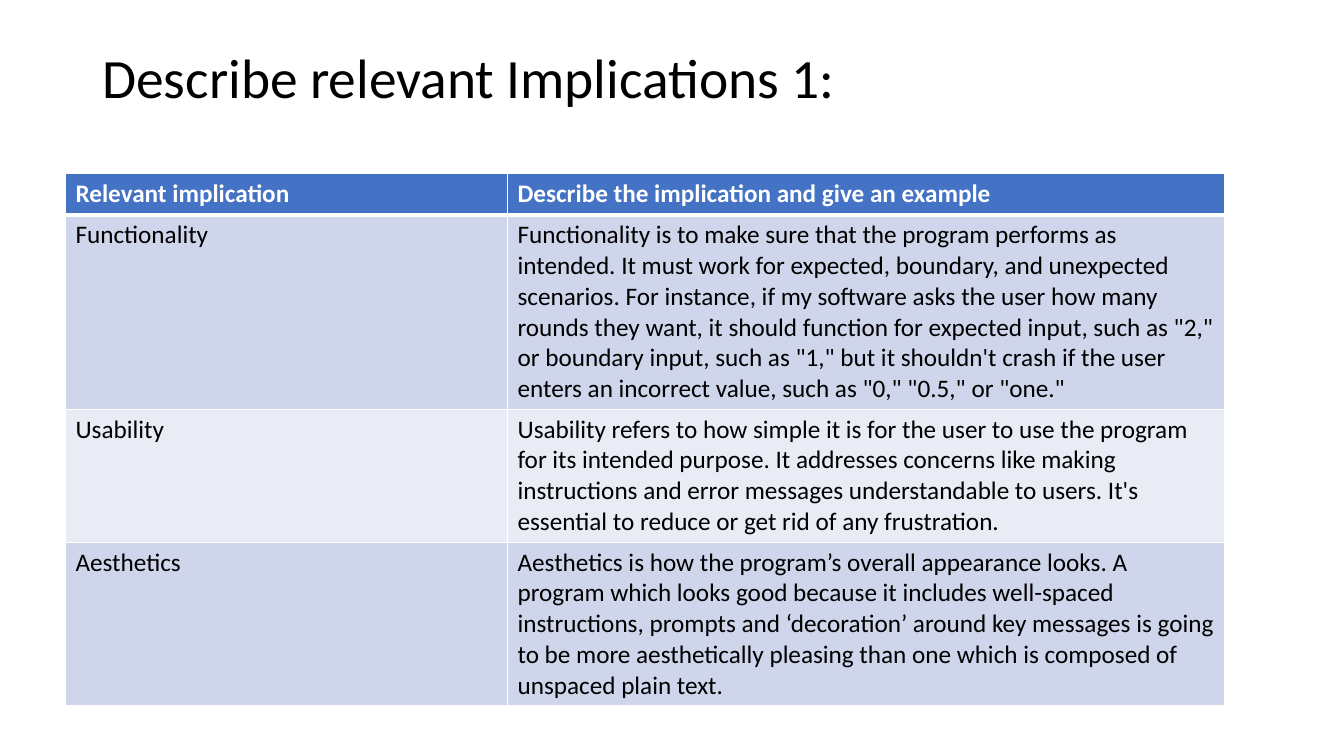
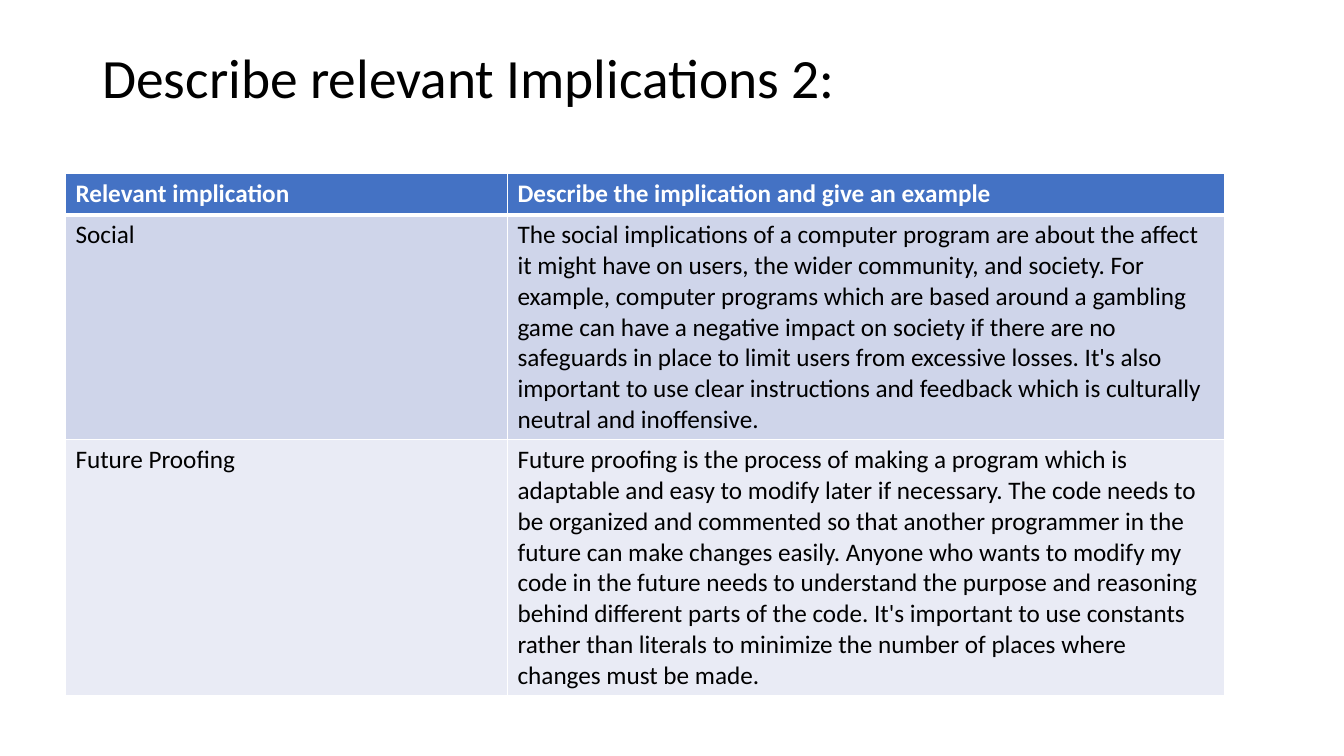
"""Build two slides that describe the relevant implications of a program in tables."""
from lxml import etree
from pptx import Presentation
from pptx.dml.color import RGBColor
from pptx.enum.text import MSO_ANCHOR
from pptx.oxml.ns import qn
from pptx.util import Cm, Pt

MIDDLE = MSO_ANCHOR.MIDDLE
BLACK = RGBColor(0x00, 0x00, 0x00)
WHITE = RGBColor(0xFF, 0xFF, 0xFF)
HEADER_BLUE = RGBColor(0x44, 0x72, 0xC4)
BAND_FILLS = [RGBColor(0xE9, 0xEB, 0xF5), RGBColor(0xCF, 0xD5, 0xEA)]

TITLE_FORMAT = {"name": "Calibri", "size": Pt(39.6), "bold": False}
HEADER_FORMAT = {"name": "Calibri", "size": Pt(18), "bold": True}
BODY_FORMAT = {"name": "Calibri", "size": Pt(18), "bold": False}

COLUMN_WIDTHS = [Cm(11.14), Cm(18.07)]
HEADER_ROW = (
    "Relevant implication",
    "Describe the implication and give an example",
    Cm(1.03),
)
IMPLICATIONS = {
    "Describe relevant Implications 1:": [
        (
            "Functionality",
            "Functionality is to make sure that the program performs as intended. "
            "It must work for expected, boundary, and unexpected scenarios. "
            "For instance, if my software asks the user how many rounds they want, "
            'it should function for expected input, such as "2," or boundary input, '
            'such as "1," but it shouldn\'t crash if the user enters an incorrect '
            'value, such as "0," "0.5," or "one."',
            Cm(4.9),
        ),
        (
            "Usability",
            "Usability refers to how simple it is for the user to use the program "
            "for its intended purpose. It addresses concerns like making instructions "
            "and error messages understandable to users. It's essential to reduce or "
            "get rid of any frustration.",
            Cm(3.35),
        ),
        (
            "Aesthetics",
            "Aesthetics is how the program’s overall appearance looks. A program "
            "which looks good because it includes well-spaced instructions, prompts "
            "and ‘decoration’ around key messages is going to be more aesthetically "
            "pleasing than one which is composed of unspaced plain text.",
            Cm(4.12),
        ),
    ],
    "Describe relevant Implications 2:": [
        (
            "Social",
            "The social implications of a computer program are about the affect it "
            "might have on users, the wider community, and society. For example, "
            "computer programs which are based around a gambling game can have a "
            "negative impact on society if there are no safeguards in place to limit "
            "users from excessive losses. It's also important to use clear "
            "instructions and feedback which is culturally neutral and inoffensive.",
            Cm(5.67),
        ),
        (
            "Future Proofing",
            "Future proofing is the process of making a program which is adaptable "
            "and easy to modify later if necessary. The code needs to be organized "
            "and commented so that another programmer in the future can make changes "
            "easily. Anyone who wants to modify my code in the future needs to "
            "understand the purpose and reasoning behind different parts of the code. "
            "It's important to use constants rather than literals to minimize the "
            "number of places where changes must be made.",
            Cm(6.45),
        ),
    ],
}


def write_text(text_frame, text, color, text_format):
    run = text_frame.paragraphs[0].add_run()
    run.text = text
    run.font.color.rgb = color
    for attribute, value in text_format.items():
        setattr(run.font, attribute, value)


def draw_borders(cell, widths):
    properties = cell._tc.get_or_add_tcPr()
    for side, width in widths.items():
        line = etree.SubElement(properties, qn(f"a:ln{side}"), w=str(Pt(width)))
        fill = etree.SubElement(line, qn("a:solidFill"))
        etree.SubElement(fill, qn("a:srgbClr"), val=str(WHITE))


deck = Presentation()
deck.slide_width = Cm(33.87)
deck.slide_height = Cm(19.05)
blank_layout = deck.slide_layouts[6]

for heading, implications in IMPLICATIONS.items():
    slide = deck.slides.add_slide(blank_layout)

    title = slide.shapes.add_textbox(Cm(2.33), Cm(1.02), Cm(29.21), Cm(1.55)).text_frame
    title.word_wrap = True
    title.vertical_anchor = MIDDLE
    title.paragraphs[0].line_spacing = 1.15
    write_text(title, heading, BLACK, TITLE_FORMAT)

    rows = [HEADER_ROW, *implications]
    table = slide.shapes.add_table(
        len(rows), len(COLUMN_WIDTHS), Cm(1.65), Cm(4.38),
        sum(COLUMN_WIDTHS), sum(height for *_, height in rows),
    ).table
    for column, width in zip(table.columns, COLUMN_WIDTHS):
        column.width = width

    for row_index, (*texts, height) in enumerate(rows):
        table.rows[row_index].height = height
        is_header = row_index == 0
        borders = {"L": 1, "R": 1, "T": 3 if row_index == 1 else 1, "B": 3 if is_header else 1}
        for column_index, text in enumerate(texts):
            cell = table.cell(row_index, column_index)
            draw_borders(cell, borders)
            cell.fill.solid()
            cell.fill.fore_color.rgb = HEADER_BLUE if is_header else BAND_FILLS[row_index % 2]
            write_text(
                cell.text_frame, text,
                WHITE if is_header else BLACK,
                HEADER_FORMAT if is_header else BODY_FORMAT,
            )

deck.save("out.pptx")
